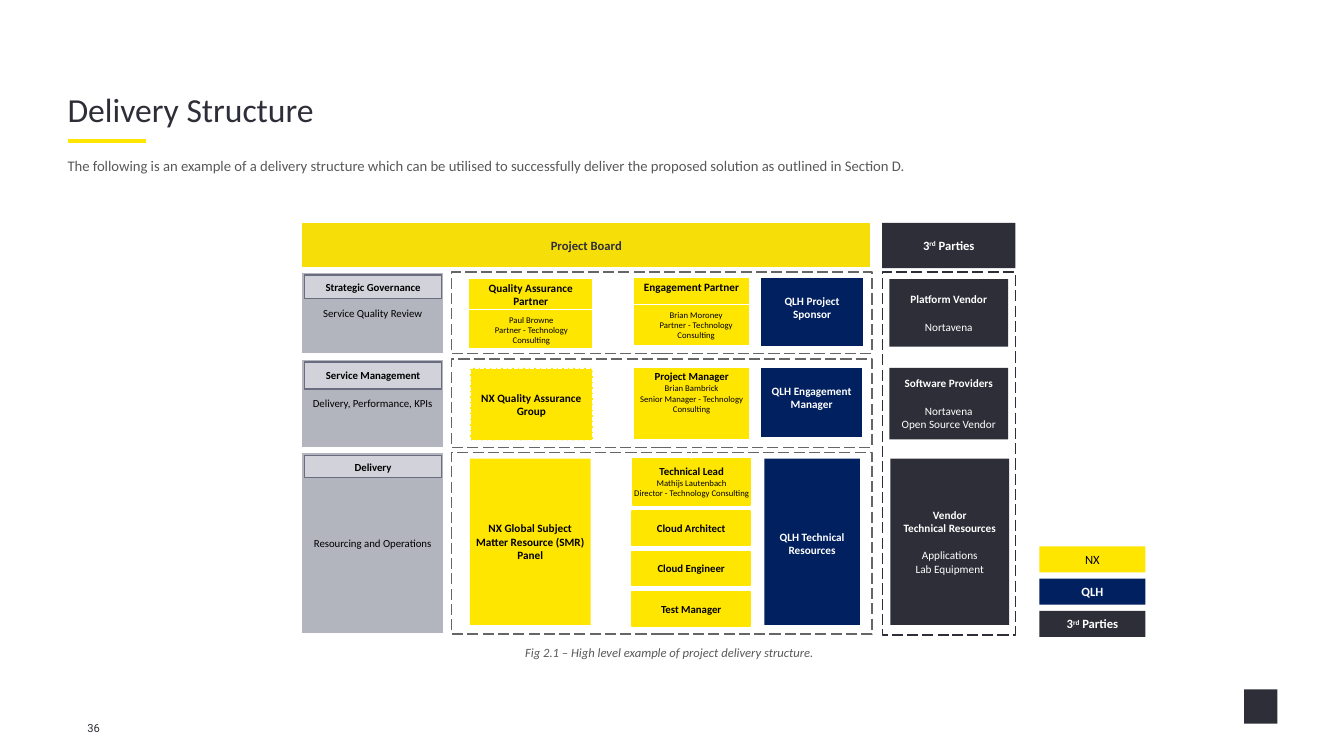
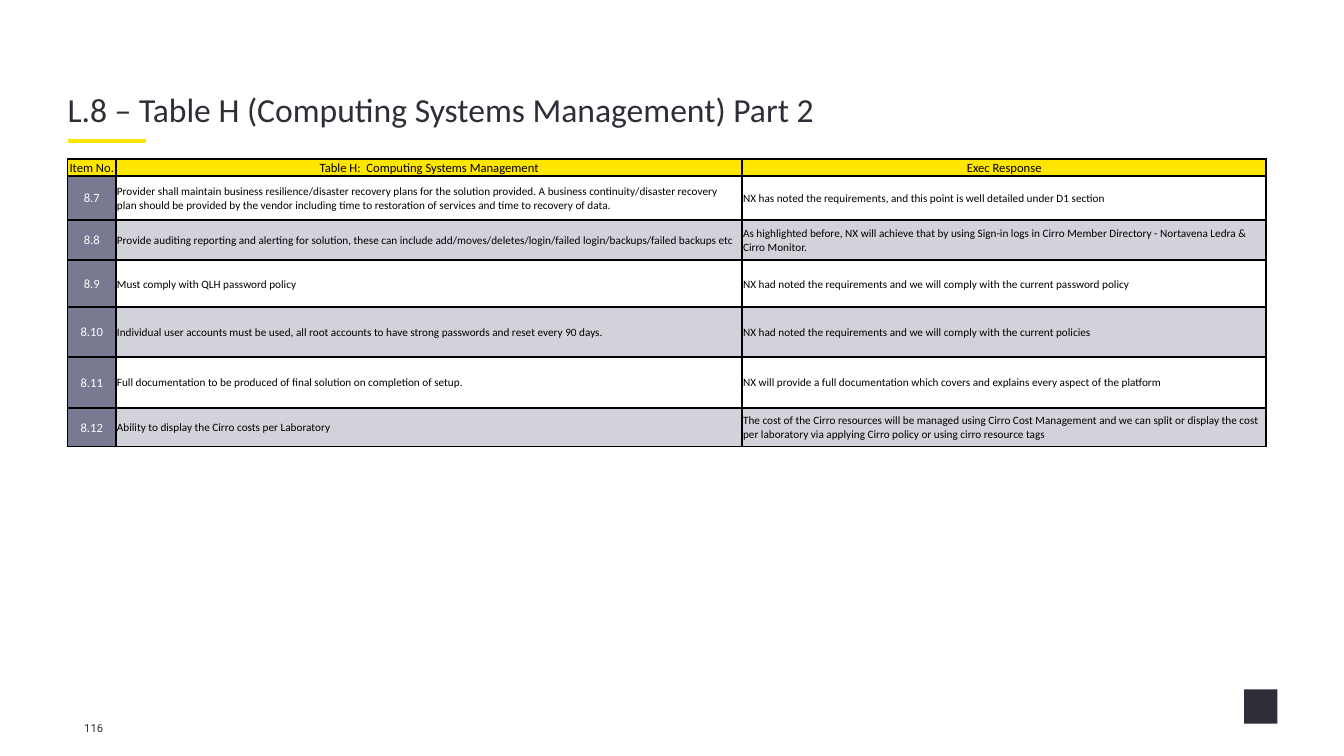
"""Build a delivery structure diagram slide and a requirements table slide."""
from lxml import etree
from pptx import Presentation
from pptx.dml.color import RGBColor
from pptx.enum.dml import MSO_LINE
from pptx.enum.shapes import MSO_CONNECTOR, MSO_SHAPE
from pptx.enum.text import MSO_ANCHOR, MSO_AUTO_SIZE, PP_ALIGN
from pptx.oxml import parse_xml
from pptx.oxml.ns import nsdecls, qn
from pptx.util import Inches, Pt

YELLOW = RGBColor(0xFF, 0xE6, 0x00)
GOLD = RGBColor(0xF6, 0xDF, 0x09)
NAVY = RGBColor(0x00, 0x20, 0x60)
CHARCOAL = RGBColor(0x2E, 0x2E, 0x38)
BODY_GRAY = RGBColor(0x59, 0x59, 0x59)
DASH_GRAY = RGBColor(0x66, 0x66, 0x66)
MID_GRAY = RGBColor(0xB2, 0xB4, 0xBE)
LIGHT_GRAY = RGBColor(0xD2, 0xD2, 0xDA)
EDGE_GRAY = RGBColor(0x6A, 0x6D, 0x7F)
SLATE = RGBColor(0x79, 0x79, 0x91)
WHITE = RGBColor(0xFF, 0xFF, 0xFF)
BLACK = RGBColor(0x00, 0x00, 0x00)
FONT, NUMBER_FONT = "Calibri", "Roboto"
MARGIN = 0.67

INTRO = ("The following is an example of a delivery structure which can be utilised to "
         "successfully deliver the proposed solution as outlined in Section D.")
CAPTION = "Fig 2.1 – High level example of project delivery structure."

TEXT_KINDS = {
    "header": (9, True, 0),
    "plain": (9, False, 0),
    "strong": (8, True, 0),
    "detail": (8, False, 0),
    "spaced": (8, False, 9.8),
    "label": (7.7, True, 0),
    "note": (7.7, False, 0),
    "person": (6.2, False, 0),
}

BOX_STYLES = {
    "band": dict(line=DASH_GRAY, dash=MSO_LINE.LONG_DASH),
    "frame": dict(line=CHARCOAL, dash=MSO_LINE.LONG_DASH),
    "board": dict(fill=GOLD, line=WHITE, color=CHARCOAL),
    "level": dict(fill=MID_GRAY, line=WHITE),
    "level name": dict(fill=LIGHT_GRAY, line=EDGE_GRAY),
    "partner": dict(fill=YELLOW, line=WHITE, anchor=MSO_ANCHOR.TOP),
    "person": dict(line=WHITE, anchor=MSO_ANCHOR.TOP, side=0.1, top=0.05),
    "group": dict(fill=YELLOW, line=WHITE, dash=MSO_LINE.SQUARE_DOT),
    "manager": dict(fill=YELLOW, line=WHITE, anchor=MSO_ANCHOR.TOP, side=0),
    "role": dict(fill=YELLOW, line=YELLOW, side=0),
    "panel": dict(fill=YELLOW),
    "client": dict(fill=NAVY, line=WHITE, color=WHITE, anchor=MSO_ANCHOR.TOP, top=0.17),
    "client team": dict(fill=NAVY, color=WHITE, anchor=MSO_ANCHOR.TOP, top=0.71),
    "client key": dict(fill=NAVY, color=WHITE),
    "vendor": dict(fill=CHARCOAL, color=WHITE),
}

LEVELS = [
    (2.7, 0.81, 0.23, "Strategic Governance", "Service Quality Review"),
    (3.56, 0.88, 0.27, "Service Management", "Delivery, Performance, KPIs"),
    (4.49, 1.8, 0.22, "Delivery", "Resourcing and Operations"),
]

BOXES = [
    ("board", 2.99, 2.21, 5.65, 0.45, [("Project Board", "header")]),
    ("partner", 4.65, 2.76, 1.23, 0.7, [("Quality Assurance Partner", "strong")]),
    ("person", 4.65, 3.07, 1.24, 0.41,
     [("Paul Browne", "person"), ("Partner - Technology Consulting", "person")]),
    ("partner", 6.28, 2.75, 1.16, 0.69, [("Engagement Partner", "strong")]),
    ("person", 6.28, 3.02, 1.25, 0.41,
     [("Brian Moroney", "person"), ("Partner - Technology Consulting", "person")]),
    ("client", 7.54, 2.75, 1.03, 0.69, [("QLH Project Sponsor", "strong")]),
    ("group", 4.66, 3.65, 1.22, 0.72, [("NX Quality Assurance Group", "strong")]),
    ("client", 7.54, 3.64, 1.02, 0.7, [("QLH Engagement Manager", "strong")]),
    ("panel", 4.66, 4.55, 1.2, 1.65,
     [("NX Global Subject Matter Resource (SMR) Panel", "strong")]),
    ("client team", 7.58, 4.55, 0.95, 1.65, [("QLH Technical Resources", "strong")]),
    ("vendor", 8.75, 2.21, 1.32, 0.45, [("3^rd^ Parties", "header")]),
    ("vendor", 8.82, 2.77, 1.18, 0.67,
     [("Platform Vendor", "strong"), ("Nortavena", "spaced")]),
    ("vendor", 8.82, 3.65, 1.18, 0.71,
     [("Software Providers", "strong"), ("Nortavena", "spaced"),
      ("Open Source Vendor", "detail")]),
    ("vendor", 8.83, 4.55, 1.18, 1.65,
     [("Vendor", "strong"), ("Technical Resources", "strong"),
      ("Applications", "spaced"), ("Lab Equipment", "detail")]),
    ("frame", 8.75, 2.7, 1.32, 3.6, []),
]
PROJECT_MANAGER = ("manager", 6.28, 3.64, 1.16, 0.72, [
    ("Project Manager", "label"), ("Brian Bambrick", "person"),
    ("Senior Manager - Technology Consulting", "person")])
TECHNICAL_LEAD = ("role", 6.28, 4.55, 1.16, 0.46, [
    ("Technical Lead", "label"), ("Mathijs Lautenbach", "person"),
    ("Director - Technology Consulting", "person")])
TEAM_ROLES = ["Cloud Architect", "Cloud Engineer", "Test Manager"]
LEGEND = [("panel", "NX", "plain"), ("client key", "QLH", "header"),
          ("vendor", "3^rd^ Parties", "header")]

COLUMN_WIDTHS = [0.48, 6.21, 5.2]
ROW_HEIGHTS = [0.17, 0.43, 0.4, 0.47, 0.49, 0.51, 0.38]
REQUIREMENTS = [
    ("Item No.", "Table H:  Computing Systems Management", "Exec Response"),
    ("8.7", "Provider shall maintain business resilience/disaster recovery plans for the "
     "solution provided. A business continuity/disaster recovery plan should be provided by "
     "the vendor including time to restoration of services and time to recovery of data.",
     "NX has noted the requirements, and this point is well detailed under D1 section"),
    ("8.8", "Provide auditing reporting and alerting for solution, these can include "
     "add/moves/deletes/login/failed login/backups/failed backups etc",
     "As highlighted before, NX will achieve that by using Sign-in logs in Cirro Member "
     "Directory - Nortavena Ledra & Cirro Monitor."),
    ("8.9", "Must comply with QLH password policy",
     "NX had noted the requirements and we will comply with the current password policy"),
    ("8.10", "Individual user accounts must be used, all root accounts to have strong "
     "passwords and reset every 90 days.",
     "NX had noted the requirements and we will comply with the current policies"),
    ("8.11", "Full documentation to be produced of final solution on completion of setup.",
     "NX will provide a full documentation which covers and explains every aspect of the "
     "platform"),
    ("8.12", "Ability to display the Cirro costs per Laboratory",
     "The cost of the Cirro resources will be managed using Cirro Cost Management and we can "
     "split or display the cost per laboratory via applying Cirro policy or using cirro "
     "resource tags"),
]


def set_font(paragraph, size, color, bold=False, italic=False, name=FONT):
    font = paragraph.font
    font.name, font.size, font.bold, font.italic = name, Pt(size), bold, italic
    font.color.rgb = color


def set_margins(target, left, top, right, bottom):
    target.margin_left, target.margin_top = Inches(left), Inches(top)
    target.margin_right, target.margin_bottom = Inches(right), Inches(bottom)


def add_text(slide, left, top, width, height, text, size, color, align,
             margins=(0, 0, 0, 0), italic=False, name=FONT):
    shape = slide.shapes.add_textbox(*map(Inches, (left, top, width, height)))
    frame = shape.text_frame
    frame.word_wrap = True
    set_margins(frame, *margins)
    paragraph = frame.paragraphs[0]
    paragraph.text, paragraph.alignment = text, align
    set_font(paragraph, size, color, italic=italic, name=name)


def add_line(slide, color, width, start=(0, 0), end=(0, 0)):
    connector = slide.shapes.add_connector(
        MSO_CONNECTOR.STRAIGHT, *map(Inches, (*start, *end)))
    connector.line.color.rgb, connector.line.width = color, Pt(width)
    etree.SubElement(connector._element.spPr, qn("a:effectLst"))
    return connector


def add_box(slide, style, left, top, width, height, lines):
    look = BOX_STYLES[style]
    shape = slide.shapes.add_shape(
        MSO_SHAPE.RECTANGLE, *map(Inches, (left, top, width, height)))
    shape.shadow.inherit = False
    if "fill" in look:
        shape.fill.solid()
        shape.fill.fore_color.rgb = look["fill"]
    else:
        shape.fill.background()
    if "line" in look:
        shape.line.color.rgb, shape.line.width = look["line"], Pt(1)
    else:
        shape.line.fill.background()
    if "dash" in look:
        shape.line.dash_style = look["dash"]
    frame = shape.text_frame
    frame.word_wrap = True
    frame.vertical_anchor = look.get("anchor", MSO_ANCHOR.MIDDLE)
    side = look.get("side", 0.06)
    set_margins(frame, side, look.get("top", 0.03), side, 0.03)
    for index, (text, kind) in enumerate(lines):
        paragraph = frame.add_paragraph() if index else frame.paragraphs[0]
        paragraph.alignment = PP_ALIGN.CENTER
        size, bold, gap = TEXT_KINDS[kind]
        if gap:
            paragraph.space_before = Pt(gap)
        set_font(paragraph, size, look.get("color", BLACK), bold)
        for position, piece in enumerate(text.split("^")):
            run = paragraph.add_run()
            run.text = piece
            if position % 2:
                run._r.get_or_add_rPr().set("baseline", "30000")
    return shape


def add_base_slide(presentation, title_text, number):
    slide = presentation.slides.add_slide(presentation.slide_layouts[5])
    title = slide.shapes.title
    title.left, title.top = Inches(MARGIN), Inches(0.71)
    title.width, title.height = Inches(12), Inches(0.57)
    frame = title.text_frame
    frame.auto_size, frame.vertical_anchor = MSO_AUTO_SIZE.NONE, MSO_ANCHOR.BOTTOM
    set_margins(frame, 0, 0, 0, 0)
    paragraph = frame.paragraphs[0]
    paragraph.text, paragraph.alignment = title_text, PP_ALIGN.LEFT
    paragraph.space_after = Pt(5)
    set_font(paragraph, 24, CHARCOAL)
    add_line(slide, YELLOW, 3, (MARGIN, 1.4), (1.45, 1.4))
    add_box(slide, "vendor", 12.34, 6.84, 0.33, 0.34, [])
    add_text(slide, 0.78, 7.11, 0.3, 0.19, number, 8, CHARCOAL, PP_ALIGN.CENTER,
             (0, 0.05, 0, 0.05), name=NUMBER_FONT)
    return slide


def add_structure_slide(presentation):
    slide = add_base_slide(presentation, "Delivery Structure", "36")
    add_text(slide, MARGIN, 1.56, 11.92, 0.18, INTRO, 10.5, BODY_GRAY, PP_ALIGN.JUSTIFY)
    for top, height, name_height, name, note in LEVELS:
        add_box(slide, "band", 4.48, top, 4.17, height, [])
        add_box(slide, "level", 2.99, top, 1.41, height, [(note, "note")])
        add_box(slide, "level name", 3.02, top + 0.03, 1.36, name_height, [(name, "label")])
    for box in BOXES:
        add_box(slide, *box)
    manager = add_box(slide, *PROJECT_MANAGER)
    lead = add_box(slide, *TECHNICAL_LEAD)
    connector = add_line(slide, WHITE, 1)
    connector.begin_connect(manager, 2)
    connector.end_connect(lead, 0)
    for index, role in enumerate(TEAM_ROLES):
        add_box(slide, "role", 6.27, 5.07 + 0.4 * index, 1.17, 0.34, [(role, "label")])
    for index, (style, text, kind) in enumerate(LEGEND):
        add_box(slide, style, 10.31, 5.42 + 0.32 * index, 1.05, 0.26, [(text, kind)])
    add_text(slide, 5.11, 6.35, 3.11, 0.25, CAPTION, 9, BODY_GRAY, PP_ALIGN.JUSTIFY,
             (0.1, 0.05, 0.1, 0.05), italic=True)


def add_borders(cell):
    properties = cell._tc.get_or_add_tcPr()
    for index, side in enumerate(("lnL", "lnR", "lnT", "lnB")):
        properties.insert(index, parse_xml(
            f'<a:{side} {nsdecls("a")} w="{Pt(1.5)}"><a:solidFill>'
            f'<a:srgbClr val="{BLACK}"/></a:solidFill></a:{side}>'))


def add_table_slide(presentation):
    slide = add_base_slide(
        presentation, "L.8 – Table H (Computing Systems Management) Part 2", "116")
    table = slide.shapes.add_table(
        len(REQUIREMENTS), len(COLUMN_WIDTHS), Inches(MARGIN), Inches(1.58),
        Inches(sum(COLUMN_WIDTHS)), Inches(sum(ROW_HEIGHTS))).table
    table.first_row = table.horz_banding = False
    for column, width in zip(table.columns, COLUMN_WIDTHS):
        column.width = Inches(width)
    for row_index, (row, height) in enumerate(zip(table.rows, ROW_HEIGHTS)):
        row.height = Inches(height)
        for column_index, text in enumerate(REQUIREMENTS[row_index]):
            if row_index == 0:
                fill, color, size, align = YELLOW, BLACK, 9, PP_ALIGN.CENTER
            elif column_index == 0:
                fill, color, size, align = SLATE, WHITE, 9, PP_ALIGN.CENTER
            else:
                fill = WHITE if row_index % 2 else LIGHT_GRAY
                color, size, align = BLACK, 8, PP_ALIGN.LEFT
            cell = row.cells[column_index]
            cell.fill.solid()
            cell.fill.fore_color.rgb = fill
            cell.vertical_anchor = MSO_ANCHOR.MIDDLE
            set_margins(cell, 0.01, 0.01, 0.01, 0)
            paragraph = cell.text_frame.paragraphs[0]
            paragraph.text, paragraph.alignment = text, align
            set_font(paragraph, size, color)
            add_borders(cell)


def main():
    presentation = Presentation()
    presentation.slide_width, presentation.slide_height = Inches(13.33), Inches(7.5)
    add_structure_slide(presentation)
    add_table_slide(presentation)
    presentation.save("out.pptx")


if __name__ == "__main__":
    main()
